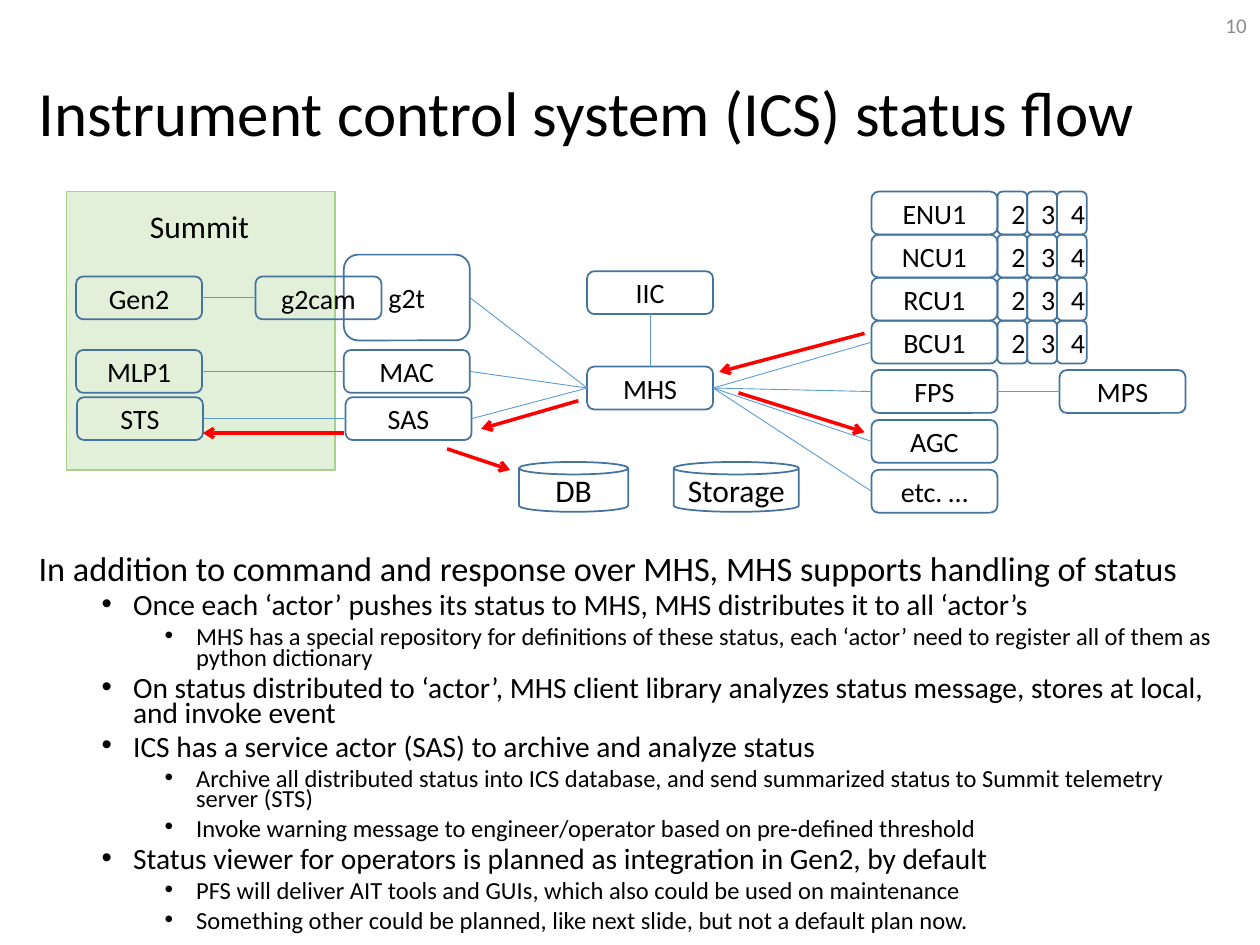
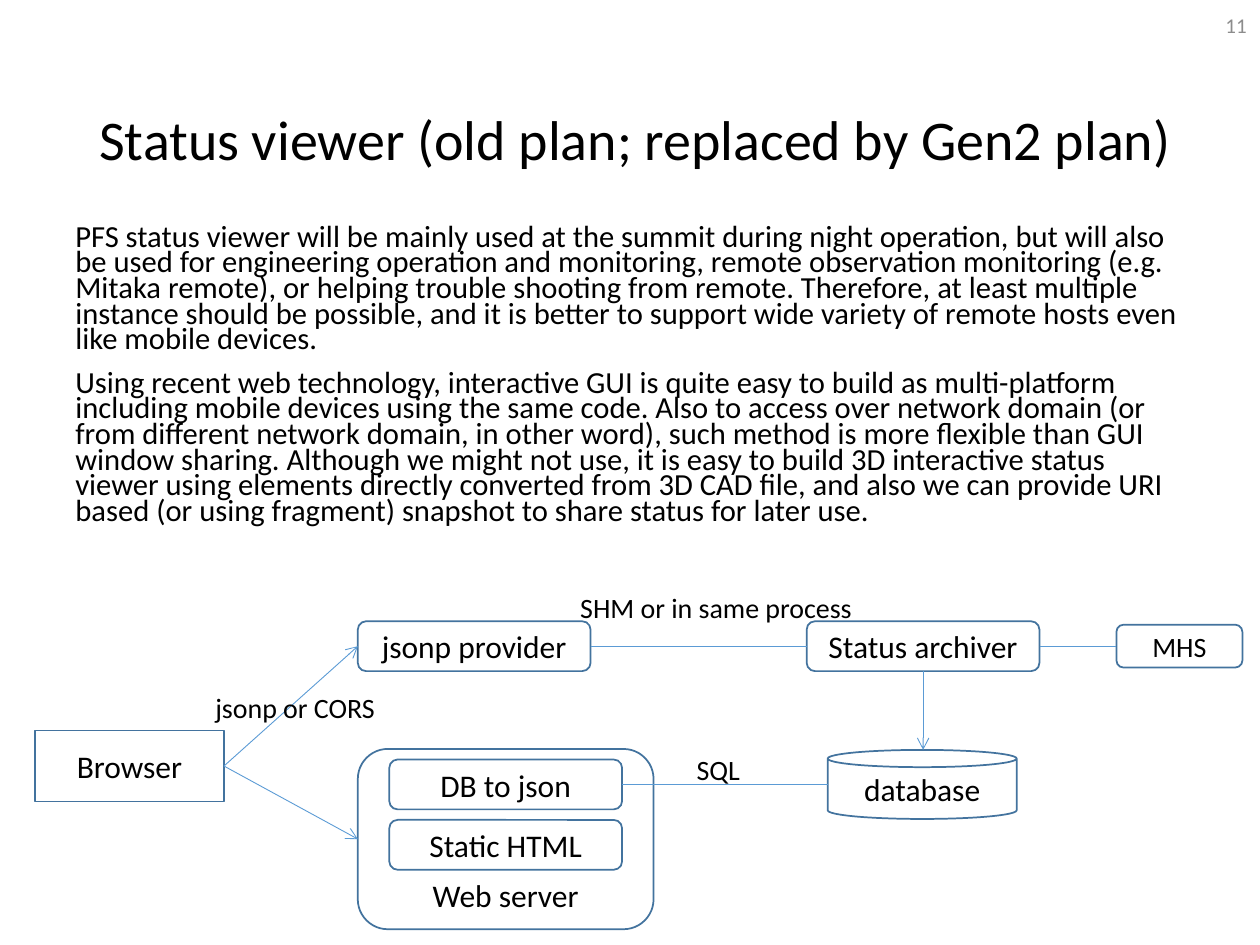
from lxml.etree import SubElement
from pptx import Presentation
from pptx.dml.color import RGBColor
from pptx.enum.shapes import MSO_CONNECTOR, MSO_SHAPE
from pptx.enum.text import MSO_ANCHOR, MSO_AUTO_SIZE, PP_ALIGN
from pptx.oxml.ns import qn
from pptx.util import Pt

FONT = "Calibri"
BLACK, GREY = "000000", "8C8C8C"
OUTLINE, LINK, RED = "43739E", "5B9BD5", "FF0000"
PANEL_FILL, PANEL_LINE = "E2F0D9", "A9D18E"
TOP, LEFT, BOTTOM, RIGHT = range(4)
ROUND, CAN = MSO_SHAPE.ROUNDED_RECTANGLE, MSO_SHAPE.CAN


def write(sp, text, sizes=(16,), color=BLACK, align=PP_ALIGN.LEFT, anchor=MSO_ANCHOR.TOP,
          spacing=None, before=(0,), wrap=True, outline=None):
    """Fill sp with text: a string, or (level, string) pairs with one size per level."""
    if outline:
        sp.shadow.inherit = False
        sp.fill.background()
        sp.line.color.rgb = RGBColor.from_string(outline)
        sp.line.width = Pt(1)
    tf = sp.text_frame
    tf.word_wrap = wrap
    tf.auto_size = MSO_AUTO_SIZE.NONE
    tf.vertical_anchor = anchor
    items = [(0, text)] if isinstance(text, str) else text
    for i, (level, line) in enumerate(items):
        p = tf.add_paragraph() if i else tf.paragraphs[0]
        p.level = level
        p.alignment = align
        p.line_spacing = spacing
        p.space_before = Pt(before[min(level, len(before) - 1)])
        if level:
            pPr = p._p.get_or_add_pPr()
            pPr.set("marL", str(Pt(18 + 36 * level)))
            pPr.set("indent", str(Pt(-18)))
            SubElement(pPr, qn("a:buFont")).set("typeface", "Arial")
            SubElement(pPr, qn("a:buChar")).set("char", "•")
        r = p.add_run()
        r.text = line
        r.font.name = FONT
        r.font.size = Pt(sizes[level])
        r.font.color.rgb = RGBColor.from_string(color)
    return sp


def add_line(s, start, end, color=LINK, width=0.5, arrow=False):
    """Draw a line; each end is an (x, y) point or a (shape, side) pair."""
    c = s.shapes.add_connector(MSO_CONNECTOR.STRAIGHT, 0, 0, 0, 0)
    if isinstance(start[0], (int, float)):
        c.begin_x, c.begin_y = map(Pt, start)
    else:
        c.begin_connect(*start)
    if isinstance(end[0], (int, float)):
        c.end_x, c.end_y = map(Pt, end)
    else:
        c.end_connect(*end)
    c.line.color.rgb = RGBColor.from_string(color)
    c.line.width = Pt(width)
    spPr = c.element.spPr
    if arrow:
        SubElement(spPr.find(qn("a:ln")), qn("a:tailEnd")).set("type", "arrow")
    SubElement(spPr, qn("a:effectLst"))


prs = Presentation()
prs.slide_width, prs.slide_height = Pt(720), Pt(540)

status_flow = [
    (0, "In addition to command and response over MHS, MHS supports handling of status"),
    (1, "Once each ‘actor’ pushes its status to MHS, MHS distributes it to all ‘actor’s"),
    (2, "MHS has a special repository for definitions of these status, each ‘actor’ need to "
        "register all of them as python dictionary"),
    (1, "On status distributed to ‘actor’, MHS client library analyzes status message, stores "
        "at local, and invoke event"),
    (1, "ICS has a service actor (SAS) to archive and analyze status"),
    (2, "Archive all distributed status into ICS database, and send summarized status to "
        "Summit telemetry server (STS)"),
    (2, "Invoke warning message to engineer/operator based on pre-defined threshold"),
    (1, "Status viewer for operators is planned as integration in Gen2, by default"),
    (2, "PFS will deliver AIT tools and GUIs, which also could be used on maintenance"),
    (2, "Something other could be planned, like next slide, but not a default plan now."),
]
viewer_plan = [
    (0, "PFS status viewer will be mainly used at the summit during night operation, but will "
        "also be used for engineering operation and monitoring, remote observation monitoring "
        "(e.g. Mitaka remote), or helping trouble shooting from remote. Therefore, at least "
        "multiple instance should be possible, and it is better to support wide variety of "
        "remote hosts even like mobile devices."),
    (0, "Using recent web technology, interactive GUI is quite easy to build as multi-platform "
        "including mobile devices using the same code. Also to access over network domain (or "
        "from different network domain, in other word), such method is more flexible than GUI "
        "window sharing. Although we might not use, it is easy to build 3D interactive status "
        "viewer using elements directly converted from 3D CAD file, and also we can provide "
        "URI based (or using fragment) snapshot to share status for later use."),
]

# Title, body and page number of each slide
for number, title, title_box, title_size, body, body_box, body_sizes in [
    (10, "Instrument control system (ICS) status flow", (15, 21.5, 691, 90), 36,
     status_flow, (15, 315.5, 691, 224.5), (19.6, 16.8, 14)),
    (11, "Status viewer (old plan; replaced by Gen2 plan)", (49.5, 29, 670.5, 104.5), 32,
     viewer_plan, (36, 126, 648, 208), (17.5,)),
]:
    s = prs.slides.add_slide(prs.slide_layouts[5])
    sp = s.shapes.title
    sp.left, sp.top, sp.width, sp.height = map(Pt, title_box)
    write(sp, title, sizes=(title_size,), anchor=MSO_ANCHOR.MIDDLE, spacing=0.9)
    write(s.shapes.add_textbox(*map(Pt, body_box)), body, sizes=body_sizes,
          spacing=0.7, before=(10, 5))
    write(s.shapes.add_textbox(Pt(557.5), Pt(0), Pt(162), Pt(29)), str(number), sizes=(12,),
          color=GREY, align=PP_ALIGN.RIGHT, anchor=MSO_ANCHOR.MIDDLE)

flow, viewer = prs.slides

# Status flow diagram
panel = flow.shapes.add_shape(MSO_SHAPE.RECTANGLE, Pt(38), Pt(109.5), Pt(153.5), Pt(159))
panel.shadow.inherit = False
panel.fill.solid()
panel.fill.fore_color.rgb = RGBColor.from_string(PANEL_FILL)
panel.line.color.rgb = RGBColor.from_string(PANEL_LINE)
panel.line.width = Pt(1)
write(flow.shapes.add_textbox(Pt(76), Pt(115), Pt(76), Pt(29)), "Summit", sizes=(18,),
      align=PP_ALIGN.CENTER, wrap=False)

BOX_W, BOX_H, MINI_W = 72, 24.5, 17
UNIT_X, UNIT_Y, UNIT_STEP = 498, 109.5, 24.6
actors = [
    ("Gen2", 43.5, 158, BOX_H), ("g2t", 196.5, 145.5, 49), ("g2cam", 146, 158, BOX_H),
    ("MLP1", 43.5, 200, BOX_H), ("MAC", 196.5, 200, BOX_H),
    ("STS", 44, 227, BOX_H), ("SAS", 197.5, 227, BOX_H),
    ("IIC", 335.5, 155, BOX_H), ("MHS", 335.5, 209.5, BOX_H), ("MPS", 605.5, 211.5, BOX_H),
]
actors += [(name, UNIT_X, UNIT_Y + i * UNIT_STEP, BOX_H)
           for i, name in enumerate(["ENU1", "NCU1", "RCU1", "BCU1"])]
actors += [(name, UNIT_X, 211.5 + i * 28.5, BOX_H)
           for i, name in enumerate(["FPS", "AGC", "etc. …"])]
boxed = dict(align=PP_ALIGN.CENTER, anchor=MSO_ANCHOR.MIDDLE, outline=OUTLINE)

nodes = {}
for name, x, y, h in actors:
    sp = flow.shapes.add_shape(ROUND, Pt(x), Pt(y), Pt(BOX_W), Pt(h))
    nodes[name] = write(sp, name, **boxed)
for row in range(4):
    for col in range(3):
        sp = flow.shapes.add_shape(ROUND, Pt(UNIT_X + BOX_W + col * MINI_W),
                                   Pt(UNIT_Y + row * UNIT_STEP), Pt(MINI_W), Pt(BOX_H))
        write(sp, str(col + 2), **boxed)
for name, x, w in [("DB", 296.5, 62.5), ("Storage", 385, 71.5)]:
    sp = flow.shapes.add_shape(CAN, Pt(x), Pt(264), Pt(w), Pt(28.5))
    write(sp, name, sizes=(18,), **boxed)

for a, b in [("Gen2", "g2cam"), ("MLP1", "MAC"), ("STS", "SAS"), ("g2t", "MHS"),
             ("MAC", "MHS"), ("SAS", "MHS"), ("MHS", "BCU1"), ("MHS", "FPS"),
             ("MHS", "AGC"), ("MHS", "etc. …"), ("FPS", "MPS")]:
    add_line(flow, (nodes[a], RIGHT), (nodes[b], LEFT))
add_line(flow, (nodes["IIC"], BOTTOM), (nodes["MHS"], TOP))
for start, end in [((494, 190.5), (411, 212.5)), ((422, 224.5), (494, 247)),
                   ((330.5, 229), (275, 245)), ((255.5, 256.5), (291.5, 268.5)),
                   ((196.5, 247.5), (116, 247.5))]:
    add_line(flow, start, end, color=RED, width=2, arrow=True)

# Status viewer diagram
parts = {}
for name, kind, x, y, w, h, size in [
    ("Status archiver", ROUND, 461, 355, 133, 28.5, 18),
    ("MHS", ROUND, 638, 357, BOX_W, BOX_H, 16),
    ("jsonp provider", ROUND, 204.5, 355, 133, 28.5, 18),
    ("Web server", ROUND, 204.5, 428, 169, 103, 18),
    ("Browser", MSO_SHAPE.FLOWCHART_PROCESS, 20, 417.5, 108, 40.5, 18),
    ("database", CAN, 473, 428.5, 108, 39.5, 18),
    ("DB to json", ROUND, 222.5, 434, 133, 28.5, 18),
    ("Static HTML", ROUND, 222.5, 468.5, 133, 28.5, 18),
]:
    sp = viewer.shapes.add_shape(kind, Pt(x), Pt(y), Pt(w), Pt(h))
    parts[name] = write(sp, name, sizes=(size,), **boxed)
parts["Web server"].text_frame.vertical_anchor = MSO_ANCHOR.BOTTOM

for a, b, arrow in [("Status archiver", "MHS", False),
                    ("jsonp provider", "Status archiver", False),
                    ("Browser", "Web server", True), ("Browser", "jsonp provider", True)]:
    add_line(viewer, (parts[a], RIGHT), (parts[b], LEFT), arrow=arrow)
add_line(viewer, (parts["Status archiver"], BOTTOM), (527.5, 428.5), arrow=True)
add_line(viewer, (parts["DB to json"], RIGHT), (473, 448.25))

for label, x, y, w in [("SHM or in same process", 324.5, 334, 172), ("SQL", 391, 426.5, 39.5),
                       ("jsonp or CORS", 116, 391, 108)]:
    write(viewer.shapes.add_textbox(Pt(x), Pt(y), Pt(w), Pt(26.5)), label, wrap=False)

prs.save("out.pptx")
